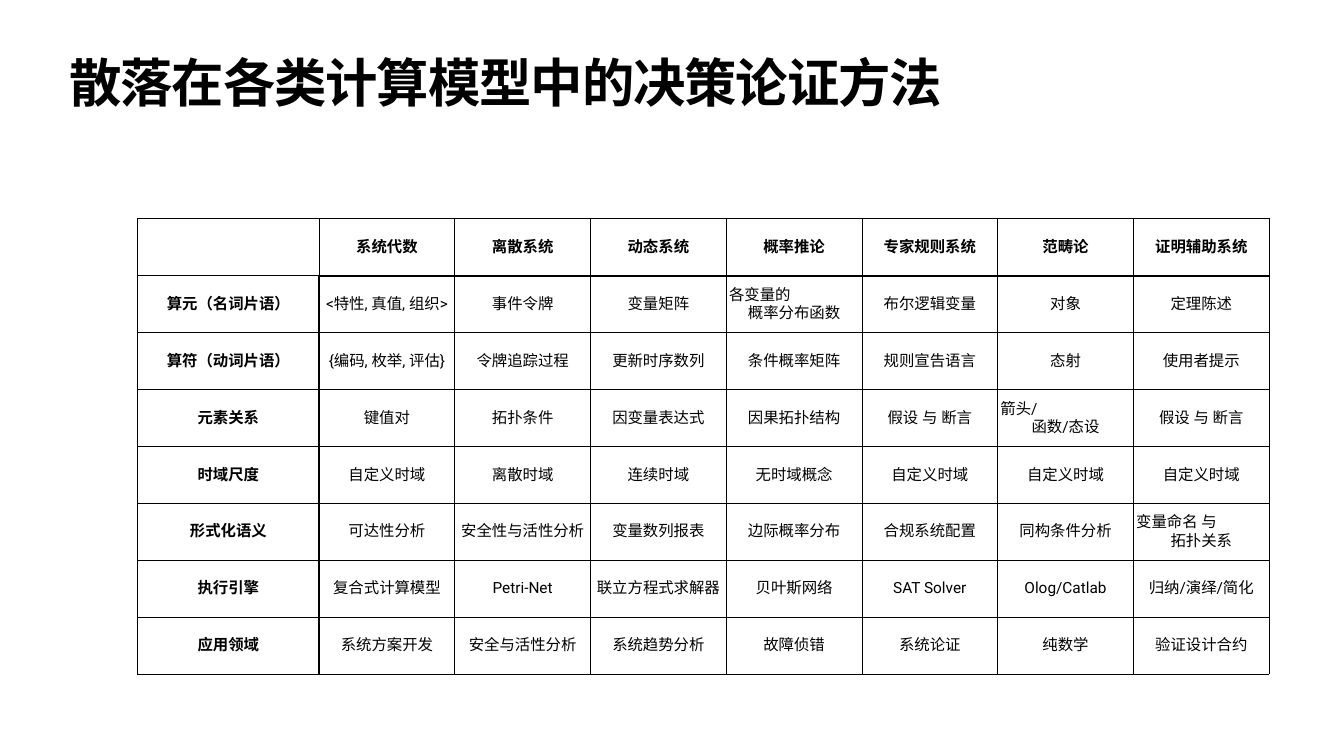
from dataclasses import dataclass

from lxml import etree
from pptx import Presentation
from pptx.dml.color import RGBColor
from pptx.enum.text import MSO_ANCHOR, MSO_AUTO_SIZE, PP_ALIGN
from pptx.oxml.ns import qn
from pptx.util import Pt

TOP, MIDDLE = MSO_ANCHOR.TOP, MSO_ANCHOR.MIDDLE
LEFT, CENTER = PP_ALIGN.LEFT, PP_ALIGN.CENTER
NO_AUTOFIT = MSO_AUTO_SIZE.NONE
TITLE_ONLY = 5
GRID_STYLE = "{5940675A-B579-460E-94D1-54222C63F5DA}"


@dataclass(frozen=True)
class Theme:
    font: str = "Roboto"
    ink: str = "000000"
    title_size: float = 74.8
    title_tracking: int = -150
    cell_size: float = 22
    inset: float = 4
    thin: float = 1
    heavy: float = 3


@dataclass(frozen=True)
class Aspect:
    label: str
    values: tuple[str, ...]


THEME = Theme()
TITLE = "散落在各类计算模型中的决策论证方法"
HEADER = Aspect("", ("系统代数", "离散系统", "动态系统", "概率推论",
                     "专家规则系统", "范畴论", "证明辅助系统"))
ASPECTS = (
    Aspect("算元（名词片语）", ("<特性, 真值, 组织>", "事件令牌", "变量矩阵",
                       "各变量的\n概率分布函数", "布尔逻辑变量", "对象", "定理陈述")),
    Aspect("算符（动词片语）", ("{编码, 枚举, 评估}", "令牌追踪过程", "更新时序数列",
                       "条件概率矩阵", "规则宣告语言", "态射", "使用者提示")),
    Aspect("元素关系", ("键值对", "拓扑条件", "因变量表达式", "因果拓扑结构",
                    "假设 与 断言", "箭头/\n函数/态设", "假设 与 断言")),
    Aspect("时域尺度", ("自定义时域", "离散时域", "连续时域", "无时域概念",
                    "自定义时域", "自定义时域", "自定义时域")),
    Aspect("形式化语义", ("可达性分析", "安全性与活性分析", "变量数列报表", "边际概率分布",
                     "合规系统配置", "同构条件分析", "变量命名 与 \n拓扑关系")),
    Aspect("执行引擎", ("复合式计算模型", "Petri-Net", "联立方程式求解器", "贝叶斯网络",
                    "SAT Solver", "Olog/Catlab", "归纳/演绎/简化")),
    Aspect("应用领域", ("系统方案开发", "安全与活性分析", "系统趋势分析", "故障侦错",
                    "系统论证", "纯数学", "验证设计合约")),
)
TABLE_LEFT, TABLE_TOP = 196.6, 312.5
LABEL_WIDTH, VALUE_WIDTH, ROW_HEIGHT = 259.2, 193.9, 81.3


def style_span(span, size: float, bold: bool) -> None:
    span.font.name = THEME.font
    span.font.size = Pt(size)
    span.font.bold = bold
    span.font.color.rgb = RGBColor.from_string(THEME.ink)
    # The East Asian typeface follows the Latin one
    latin = span.font._element.find(qn("a:latin"))
    east_asian = etree.Element(qn("a:ea"), typeface=THEME.font)
    latin.addnext(east_asian)


def set_insets(target) -> None:
    target.margin_left = target.margin_right = Pt(THEME.inset)
    target.margin_top = target.margin_bottom = Pt(THEME.inset)


def set_borders(cell, row: int, column: int) -> None:
    """Heavy rules under the header and beside the row labels."""
    heavy_edges = {
        "a:lnL": row > 0 and column == 1,
        "a:lnR": row > 0 and column == 0,
        "a:lnT": row == 1 and column > 0,
        "a:lnB": row == 0 and column > 0,
    }
    properties = cell._tc.get_or_add_tcPr()
    for position, (edge, is_heavy) in enumerate(heavy_edges.items()):
        width = THEME.heavy if is_heavy else THEME.thin
        line = etree.Element(qn(edge), w=str(Pt(width)))
        fill = etree.SubElement(line, qn("a:solidFill"))
        etree.SubElement(fill, qn("a:srgbClr"), val=THEME.ink)
        properties.insert(position, line)


def fill_cell(cell, text: str, bold: bool) -> None:
    cell.fill.background()
    cell.vertical_anchor = MIDDLE
    set_insets(cell)
    cell.text_frame.text = text
    # In a two-line cell the lead-in sits left, the last line is centred
    *lead_ins, last = cell.text_frame.paragraphs
    for para in lead_ins:
        para.alignment = LEFT
    last.alignment = CENTER
    for para in (*lead_ins, last):
        for span in para.runs:
            style_span(span, THEME.cell_size, bold)


def add_title(page) -> None:
    title = page.shapes.title
    title.left, title.top = Pt(95), Pt(85)
    title.width, title.height = Pt(1730), Pt(113)
    frame = title.text_frame
    frame.text = TITLE
    frame.word_wrap = True
    frame.auto_size = NO_AUTOFIT
    frame.vertical_anchor = TOP
    set_insets(frame)
    para = frame.paragraphs[0]
    para.alignment = LEFT
    para.line_spacing = 0.8
    span = para.runs[0]
    style_span(span, THEME.title_size, True)
    span.font._element.set("spc", str(THEME.title_tracking))


def add_comparison(page) -> None:
    rows = (HEADER, *ASPECTS)
    column_widths = [LABEL_WIDTH] + [VALUE_WIDTH] * len(HEADER.values)
    frame = page.shapes.add_table(
        len(rows), len(column_widths), Pt(TABLE_LEFT), Pt(TABLE_TOP),
        Pt(sum(column_widths)), Pt(ROW_HEIGHT * len(rows)))
    table = frame.table
    table.first_row = table.horz_banding = False
    table._tbl.tblPr.find(qn("a:tableStyleId")).text = GRID_STYLE
    for column, width in zip(table.columns, column_widths):
        column.width = Pt(width)
    for row_index, aspect in enumerate(rows):
        table.rows[row_index].height = Pt(ROW_HEIGHT)
        for column_index, text in enumerate((aspect.label, *aspect.values)):
            cell = table.cell(row_index, column_index)
            fill_cell(cell, text, bold=row_index == 0 or column_index == 0)
            set_borders(cell, row_index, column_index)


def main() -> None:
    deck = Presentation()
    deck.slide_width, deck.slide_height = Pt(1920), Pt(1080)
    page = deck.slides.add_slide(deck.slide_layouts[TITLE_ONLY])
    add_title(page)
    add_comparison(page)
    deck.save("out.pptx")


main()
